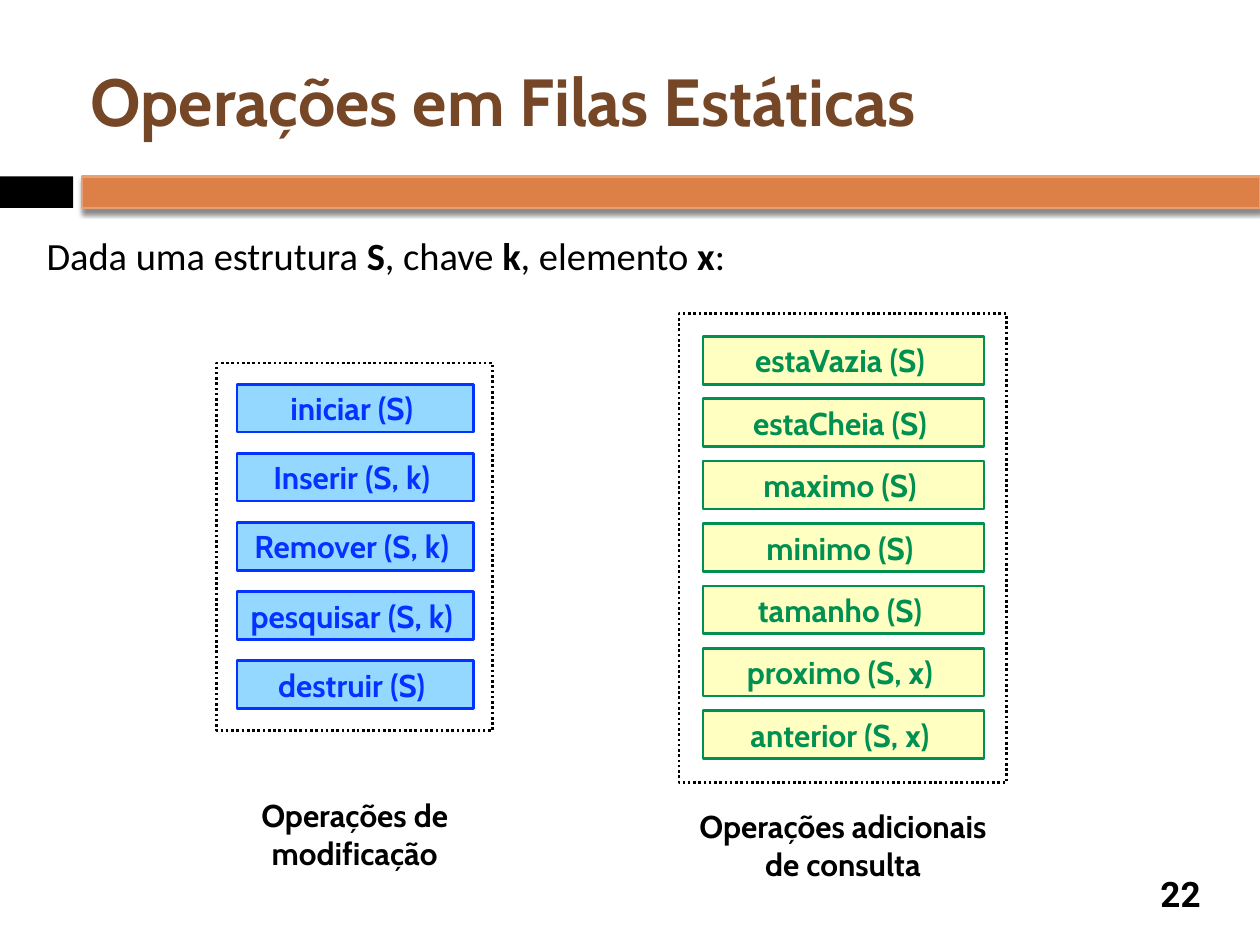
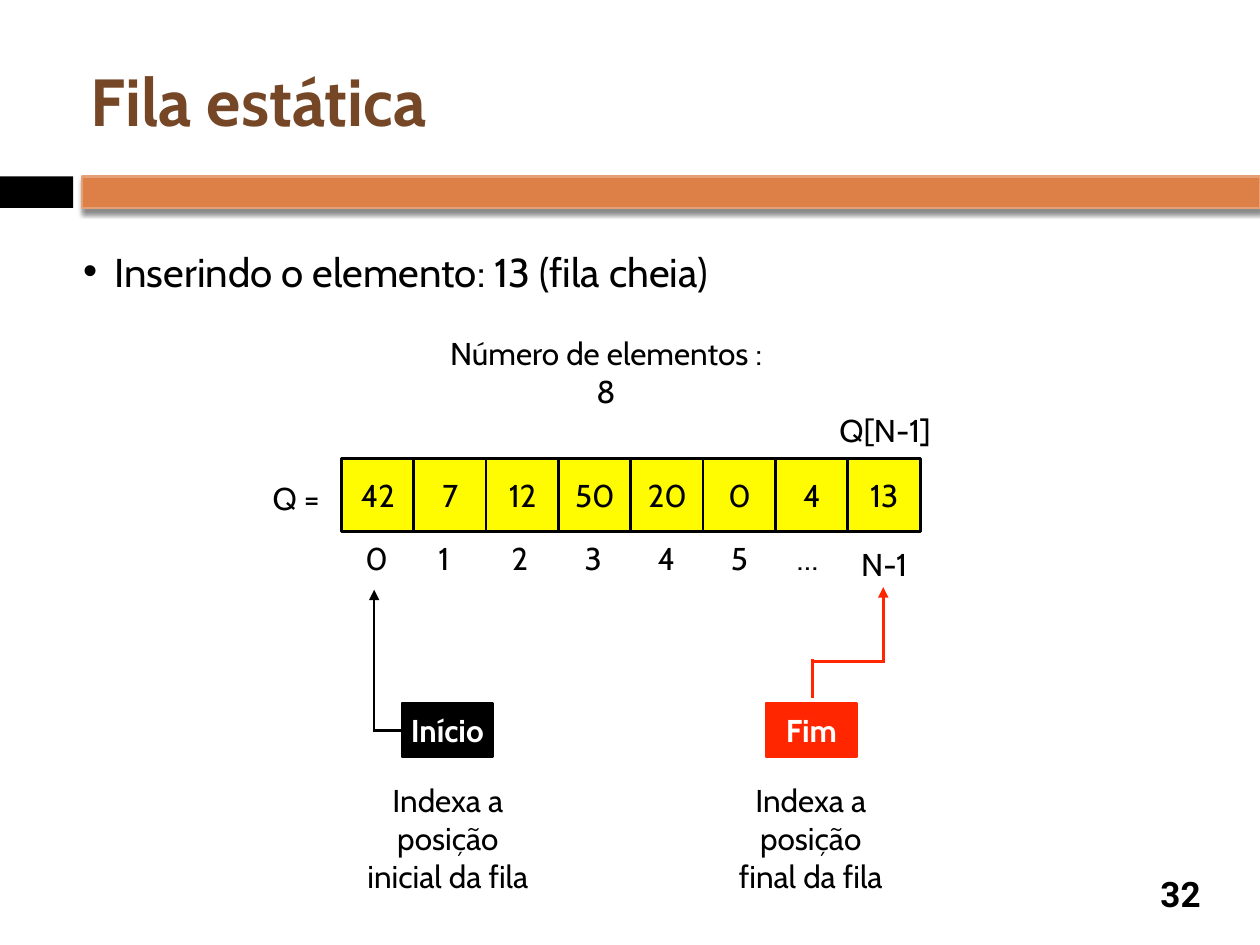
from lxml import etree
from pptx import Presentation
from pptx.dml.color import RGBColor
from pptx.enum.dml import MSO_LINE
from pptx.enum.shapes import MSO_CONNECTOR, MSO_SHAPE
from pptx.enum.text import MSO_ANCHOR, PP_ALIGN
from pptx.oxml import parse_xml
from pptx.oxml.ns import nsdecls, qn
from pptx.util import Inches, Pt

LEFT, CENTER = PP_ALIGN.LEFT, PP_ALIGN.CENTER
TOP, MIDDLE = MSO_ANCHOR.TOP, MSO_ANCHOR.MIDDLE
RECTANGLE, STRAIGHT = MSO_SHAPE.RECTANGLE, MSO_CONNECTOR.STRAIGHT
DOTTED = MSO_LINE.ROUND_DOT

COLORS = {
    "black": "000000", "white": "FFFFFF", "title": "754726",
    "band": "DD8047", "band edge": "E5A075",
    "green": "009051", "cream": "FFFFC2",
    "blue": "0433FF", "sky": "95D8FF",
    "yellow": "FFFB00", "red": "FF2600",
}
LINE_WIDTH = Pt(1.5)

presentation = Presentation()
presentation.slide_width, presentation.slide_height = Inches(10), Inches(7.5)
# The grid has 100 columns and 75 rows.
COLUMN = presentation.slide_width / 100
ROW = presentation.slide_height / 75


def add_box(slide, at, text="", fill=None, line=None, size=18, font="Cabin",
            color="black", bold=False, align=CENTER, anchor=MIDDLE, wrap=True):
    """Add a rectangle, or a text box if it has no fill and line; *x* flips to bold."""
    left, top, width, height = at
    frame = [int(left * COLUMN), int(top * ROW), int(width * COLUMN), int(height * ROW)]
    if fill or line:
        shape = slide.shapes.add_shape(RECTANGLE, *frame)
        shape.shadow.inherit = False
    else:
        shape = slide.shapes.add_textbox(*frame)
    if fill:
        shape.fill.solid()
        shape.fill.fore_color.rgb = RGBColor.from_string(COLORS[fill])
    else:
        shape.fill.background()
    if line:
        shape.line.color.rgb = RGBColor.from_string(COLORS[line])
        shape.line.width = LINE_WIDTH
    else:
        shape.line.fill.background()

    text_frame = shape.text_frame
    text_frame.word_wrap = wrap
    text_frame.vertical_anchor = anchor
    text_frame.margin_left = text_frame.margin_right = Inches(0.05)
    text_frame.margin_top = text_frame.margin_bottom = Inches(0.05)
    for number, content in enumerate(text.split("\n") if text else []):
        paragraph = text_frame.add_paragraph() if number else text_frame.paragraphs[0]
        paragraph.alignment = align
        for position, part in enumerate(content.split("*")):
            run = paragraph.add_run()
            run.text = part
            run.font.name = font
            run.font.size = Pt(size)
            run.font.bold = bold or position % 2 == 1
            run.font.color.rgb = RGBColor.from_string(COLORS[color])
    return shape


def add_line(slide, start, end, color, arrow=False):
    connector = slide.shapes.add_connector(
        STRAIGHT, int(start[0] * COLUMN), int(start[1] * ROW),
        int(end[0] * COLUMN), int(end[1] * ROW))
    connector.line.color.rgb = RGBColor.from_string(COLORS[color])
    connector.line.width = LINE_WIDTH
    if arrow:
        etree.SubElement(connector.line._get_or_add_ln(), qn("a:tailEnd"), type="triangle")
    etree.SubElement(connector._element.spPr, qn("a:effectLst"))


# Shared parts: bands, title and slide number
slides = []
for title, number in [("Operações em Filas Estáticas", "22"), ("Fila estática", "32")]:
    slide = presentation.slides.add_slide(presentation.slide_layouts[6])
    add_box(slide, (0, 14, 5.8, 2.5), fill="black")
    band = add_box(slide, (6.5, 14, 93.5, 2.5), fill="band", line="band edge")
    band._element.spPr.find(qn("a:effectLst")).append(parse_xml(
        f'<a:outerShdw {nsdecls("a")} blurRad="{Pt(3)}" dist="{Pt(2.4)}" dir="5400000" '
        'rotWithShape="0"><a:srgbClr val="000000"><a:alpha val="45000"/></a:srgbClr>'
        '</a:outerShdw>'))
    add_box(slide, (6.7, 2.5, 89.2, 10.8), title, size=38, color="title", bold=True, align=LEFT)
    add_box(slide, (90.8, 68.9, 5.8, 4.1), number, size=20, font="Roboto", bold=True)
    slides.append(slide)
operations_slide, queue_slide = slides

# Slide 22: two groups of operations
add_box(operations_slide, (3.2, 17.9, 90, 6.3),
        "Dada uma estrutura *S*, chave *k*, elemento *x*:",
        size=22, font="Calibri", align=LEFT, anchor=TOP)

operation_groups = [
    {"frame": (17.2, 28.8, 21.9, 29.2), "first": (18.8, 30.5, 18.8, 3.8), "pitch": 5.48,
     "fill": "sky", "ink": "blue",
     "names": ["iniciar (S) ", "Inserir (S, k) ", "Remover (S, k) ",
               "pesquisar (S, k) ", "destruir (S) "],
     "caption": "Operações de \nmodificação", "caption at": (20.1, 62.7, 16.1, 6.3)},
    {"frame": (53.9, 24.9, 26, 37.2), "first": (55.8, 26.7, 22.3, 3.8), "pitch": 4.95,
     "fill": "cream", "ink": "green",
     "names": ["estaVazia (S) ", "estaCheia (S) ", "maximo (S) ", "minimo (S) ",
               "tamanho (S) ", "proximo (S, x) ", "anterior (S, x) "],
     "caption": "Operações adicionais \nde consulta", "caption at": (54.8, 63.6, 24.2, 6.3)},
]
for group in operation_groups:
    frame = add_box(operations_slide, group["frame"], line="black")
    frame.line.dash_style = DOTTED
    left, top, width, height = group["first"]
    for index, name in enumerate(group["names"]):
        add_box(operations_slide, (left, top + index * group["pitch"], width, height), name,
                fill=group["fill"], line=group["ink"], color=group["ink"], bold=True)
    add_box(operations_slide, group["caption at"], group["caption"],
            bold=True, anchor=TOP, wrap=False)

# Slide 32: the full queue
bullet_box = add_box(queue_slide, (6.1, 19.1, 80.7, 4.5),
                     "Inserindo o elemento: 13 (fila cheia)", size=23, align=LEFT, anchor=TOP)
properties = bullet_box.text_frame.paragraphs[0]._p.get_or_add_pPr()
properties.set("marL", str(Inches(0.25)))
properties.set("indent", str(-Inches(0.25)))
etree.SubElement(properties, qn("a:buFont"), typeface="Arial")
etree.SubElement(properties, qn("a:buChar"), char="•")

add_box(queue_slide, (35.1, 26, 26, 3.6), "Número de elementos : 8", anchor=TOP)
add_box(queue_slide, (20.8, 37.5, 5.4, 3.6), "Q =", anchor=TOP, wrap=False)
add_box(queue_slide, (66.1, 32.1, 8.3, 3.6), "Q[N-1]", anchor=TOP, wrap=False)

for index, value in enumerate(["42", "7", "12", "50", "20", "0", "4", "13"]):
    add_box(queue_slide, (27.1 + index * 5.74, 36.4, 5.8, 5.8), value,
            fill="yellow", line="black")

index_widths = {"…": 3.6, "N-1": 5}
for index, label in enumerate(["0", "1", "2", "3", "4", "5", "…", "N-1"]):
    width = index_widths.get(label, 2.5)
    top = 42.8 if label == "N-1" else 42.3
    add_box(queue_slide, (29.75 + index * 5.8 - width / 2, top, width, 3.6), label,
            align=LEFT, anchor=TOP, wrap=False)

for name, left, color, note_left, note in [
    ("Início", 31.9, "black", 26.4, "Indexa a posição\ninicial da fila"),
    ("Fim", 60.8, "red", 55.2, "Indexa a posição\nfinal da fila"),
]:
    add_box(queue_slide, (left, 55.8, 7.2, 4.3), name, fill=color, line=color,
            color="white", bold=True, wrap=False)
    add_box(queue_slide, (note_left, 61.5, 18.3, 6.3), note, anchor=TOP)

for start, end, color, arrow in [
    ((29.7, 57.9), (29.7, 46.8), "black", True),
    ((29.6, 58), (32.1, 58), "black", False),
    ((70.1, 52.6), (70.1, 46.6), "red", True),
    ((70.2, 52.5), (64.4, 52.5), "red", False),
    ((64.5, 52.3), (64.5, 55.4), "red", False),
]:
    add_line(queue_slide, start, end, color, arrow)

presentation.save("out.pptx")
